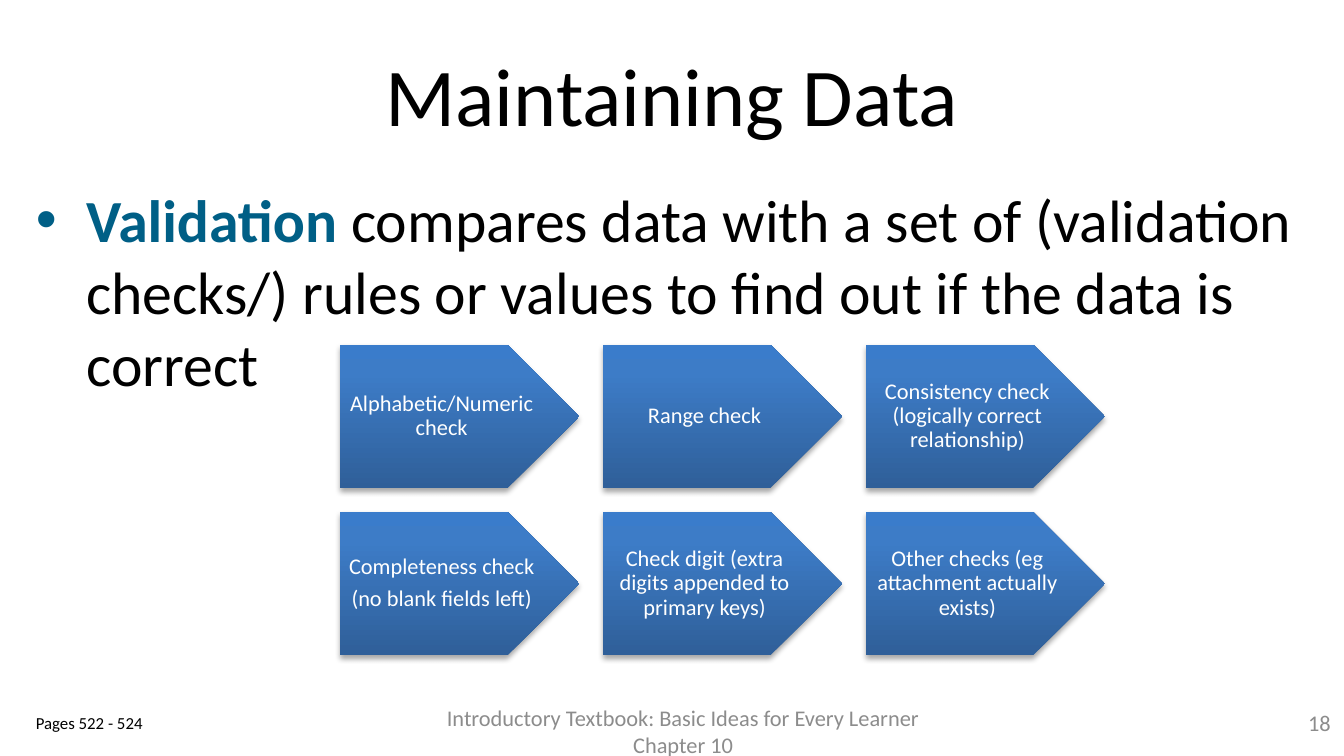
from pptx import Presentation
from pptx.dml.color import RGBColor
from pptx.enum.shapes import MSO_SHAPE
from pptx.enum.text import MSO_ANCHOR, MSO_AUTO_SIZE, PP_ALIGN
from pptx.oxml import parse_xml
from pptx.oxml.ns import nsdecls
from pptx.util import Pt

PLATE = MSO_SHAPE.PENTAGON
TOP, MIDDLE = MSO_ANCHOR.TOP, MSO_ANCHOR.MIDDLE
LEFT, CENTER, RIGHT = PP_ALIGN.LEFT, PP_ALIGN.CENTER, PP_ALIGN.RIGHT
FIXED = MSO_AUTO_SIZE.NONE
FONT = "Calibri"
COLORS = {
    "black": "000000", "white": "FFFFFF", "gray": "8C8C8C", "teal": "005F86",
    "deep": "2F5F99", "mid": "3D7CC7", "light": "3A7CCB",
}
STOPS = [(0, "deep"), (80, "mid"), (100, "light")]
CHECKS = [
    ["Alphabetic/Numeric check"],
    ["Range check"],
    ["Consistency check (logically correct relationship)"],
    ["Completeness check", "(no blank fields left)"],
    ["Check digit (extra digits appended to primary keys)"],
    ["Other checks (eg attachment actually exists)"],
]


def write(para, text, size=12, color="black", bold=False, align=LEFT):
    """Add one formatted run to a paragraph."""
    para.alignment = align
    run = para.add_run()
    run.text = text
    font = run.font
    font.name, font.size, font.bold = FONT, Pt(size), bold
    font.color.rgb = RGBColor.from_string(COLORS[color])


def place(shape, left, top, width, height, anchor=TOP):
    """Set a shape's box and return its first paragraph."""
    shape.left, shape.top = Pt(left), Pt(top)
    shape.width, shape.height = Pt(width), Pt(height)
    frame = shape.text_frame
    frame.word_wrap, frame.auto_size = True, FIXED
    frame.vertical_anchor = anchor
    return frame.paragraphs[0]


def hang(para, bullet=None):
    """Give a paragraph a hanging indent and an optional bullet."""
    props = para._p.get_or_add_pPr()
    props.set("marL", str(Pt(27)))
    props.set("indent", str(-Pt(27)))
    mark = f'buChar {nsdecls("a")} char="{bullet}"' if bullet else f'buNone {nsdecls("a")}'
    props.append(parse_xml(f"<a:{mark}/>"))


def label(slide, text, box, align):
    """Add a gray line of footer text."""
    shape = slide.shapes.add_textbox(0, 0, 0, 0)
    write(place(shape, *box, anchor=MIDDLE), text, color="gray", align=align)


def shade(shape):
    """Apply the three-stop gradient and the soft drop shadow."""
    shape.fill.gradient()
    shape.fill.gradient_angle = 90
    stops = shape.element.spPr.find(".//{*}gsLst")
    for stop in list(stops):
        stops.remove(stop)
    for pos, name in STOPS:
        stops.append(parse_xml(
            f'<a:gs {nsdecls("a")} pos="{pos * 1000}">'
            f'<a:srgbClr val="{COLORS[name]}"/></a:gs>'))
    shape.line.fill.background()
    shape.shadow.inherit = False
    shape.element.spPr.find("{*}effectLst").append(parse_xml(
        f'<a:outerShdw {nsdecls("a")} blurRad="{Pt(3.1)}" dist="{Pt(1.8)}" '
        f'dir="5400000" rotWithShape="0"><a:srgbClr val="{COLORS["black"]}">'
        '<a:alpha val="35000"/></a:srgbClr></a:outerShdw>'))


def arrow(slide, lines, left, top):
    """Add one arrow that names a validation check."""
    shape = slide.shapes.add_shape(PLATE, 0, 0, 0, 0)
    para = place(shape, left, top, 128, 77, MIDDLE)
    shade(shape)
    frame = shape.text_frame
    frame.margin_left = frame.margin_right = Pt(3.6)
    frame.margin_top = frame.margin_bottom = Pt(3.6)
    for i, line in enumerate(lines):
        para = frame.add_paragraph() if i else para
        para.line_spacing, para.space_after = 0.9, Pt(4.2)
        write(para, line, color="white", align=CENTER)


def main():
    """Build the slide and save it."""
    deck = Presentation()
    deck.slide_width, deck.slide_height = Pt(720), Pt(405)
    slide = deck.slides.add_slide(deck.slide_layouts[3])
    title, body, pages = list(slide.placeholders)[:3]

    para = place(title, 36, 16.5, 648, 67.5, MIDDLE)
    write(para, "Maintaining Data", size=44, align=CENTER)

    para = place(body, 12, 94.5, 696, 274.5)
    hang(para, "•")
    write(para, "Validation", size=32, color="teal", bold=True)
    write(para, " compares data with a set of (validation checks/) rules "
          "or values to find out if the data is correct", size=32)

    label(slide, "Introductory Textbook: Basic Ideas for Every Learner Chapter 10",
          (216, 378, 300, 27), CENTER)
    label(slide, "18", (672, 369, 48, 36), RIGHT)

    para = place(pages, 12, 378, 132, 27)
    hang(para)
    write(para, "Pages 522 - 524", size=9)

    for i, lines in enumerate(CHECKS):
        row, col = divmod(i, 3)
        arrow(slide, lines, 182.3 + 140.8 * col, 184.6 + 89.6 * row)

    deck.save("out.pptx")


if __name__ == "__main__":
    main()
